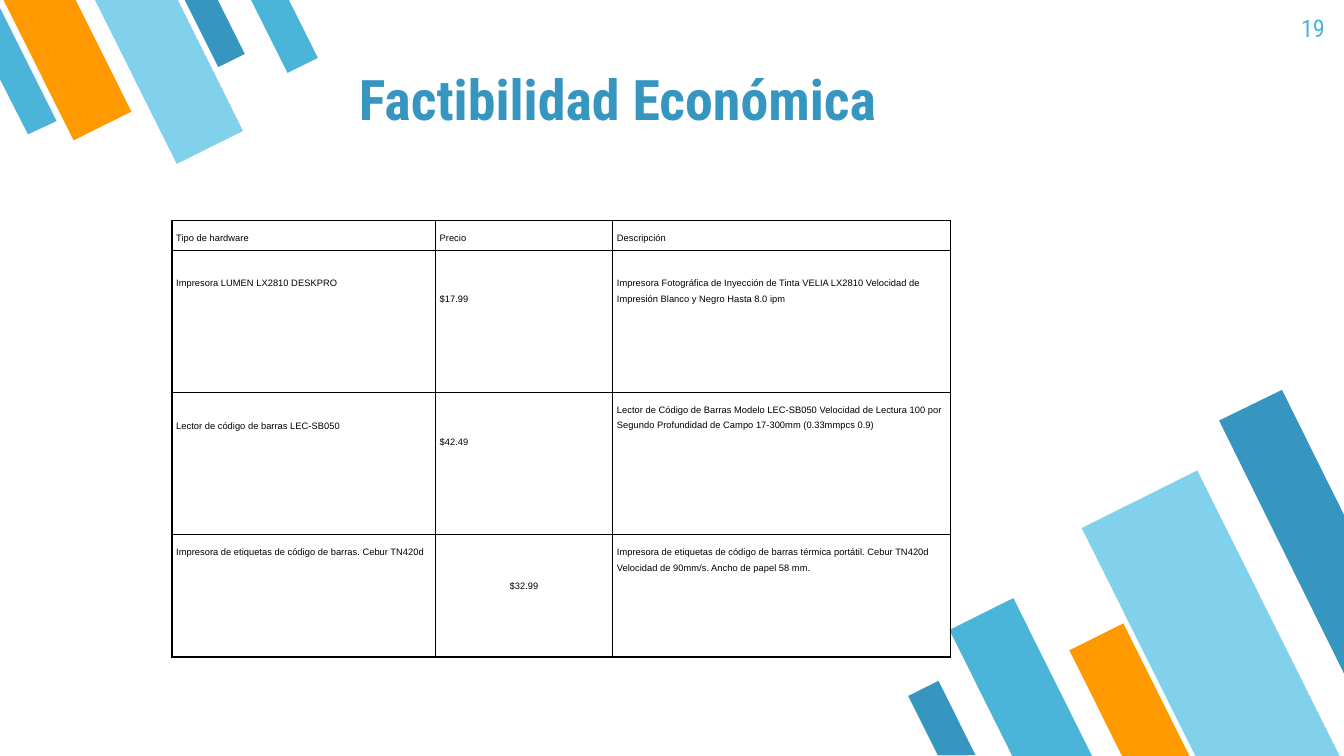
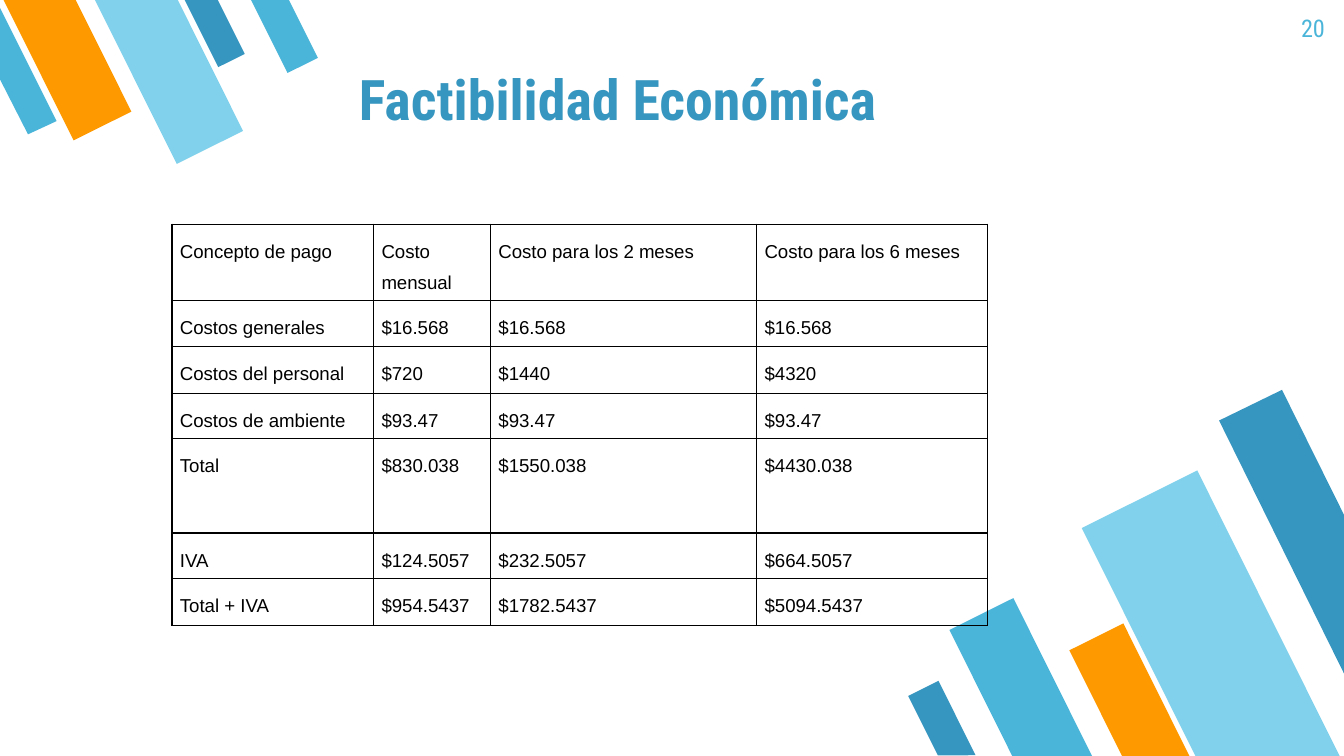
from lxml.etree import SubElement
from pptx import Presentation
from pptx.dml.color import RGBColor
from pptx.enum.shapes import MSO_SHAPE
from pptx.enum.text import MSO_ANCHOR, MSO_AUTO_SIZE, PP_ALIGN
from pptx.oxml.ns import qn
from pptx.util import Cm, Pt

SLIDE_WIDTH, SLIDE_HEIGHT = 25.4, 14.29
SKY, PALE, ORANGE, BLUE, BLACK = "4BB5D9", "81D1EC", "FF9900", "3796BF", "000000"
HEADING_FONT, TABLE_FONT = "Roboto Condensed", "Arial"

# Corner decorations: boxes in cm, bars and edge strips relative to the box
TOP_LEFT = {
    "box": (0, 0),
    "angle": 333.5,
    "bars": [
        (3.78, -0.2, 0.56, 1.42, BLUE),
        (0.66, -0.46, 1.22, 3.0, ORANGE),
        (2.49, -0.51, 1.4, 3.48, PALE),
        (5.05, -0.25, 0.64, 1.57, SKY),
    ],
    "strip": [(0.53, 2.54), (1.07, 2.29), (0, 0.15), (0, 1.5)],
    "strip_color": SKY,
}
BOTTOM_RIGHT = {
    "box": (17.4, 7.37),
    "angle": 153.5,
    "bars": [
        (1.22, 4.06, 1.35, 3.35, SKY),
        (4.27, 1.75, 2.44, 6.07, PALE),
        (3.38, 4.52, 1.14, 2.82, ORANGE),
        (0.08, 5.56, 0.64, 1.57, BLUE),
    ],
    "strip": [(6.83, 0), (5.64, 0.58), (8, 5.36), (8, 2.36)],
    "strip_color": BLUE,
}

# Hardware table
HARDWARE = [
    ["Tipo de hardware", "Precio", "Descripción"],
    ["Impresora LUMEN LX2810 DESKPRO", "$17.99",
     "Impresora Fotográfica de Inyección de Tinta VELIA LX2810 Velocidad de "
     "Impresión Blanco y Negro Hasta 8.0 ipm"],
    ["Lector de código de barras LEC-SB050", "$42.49",
     "Lector de Código de Barras Modelo LEC-SB050 Velocidad de Lectura 100 por "
     "Segundo Profundidad de Campo 17-300mm (0.33mmpcs 0.9)"],
    ["Impresora de etiquetas de código de barras. Cebur TN420d", "$32.99",
     "Impresora de etiquetas de código de barras térmica portátil. Cebur TN420d "
     "Velocidad de 90mm/s. Ancho de papel 58 mm."],
]
# Cells whose text starts lower: (row, column) -> drop in points and paragraph format
HARDWARE_CELLS = {
    (1, 0): {"drop": 8.6},
    (1, 1): {"drop": 17.2},
    (1, 2): {"drop": 8.6},
    (2, 0): {"drop": 8.6, "align": PP_ALIGN.JUSTIFY},
    (2, 1): {"drop": 17.2},
    (3, 1): {"drop": 20.9, "align": PP_ALIGN.CENTER, "spacing": 1.07},
}

# Cost table
COSTS = [
    ["Concepto de pago", "Costo mensual", "Costo para los 2 meses", "Costo para los 6 meses"],
    ["Costos generales", "$16.568", "$16.568", "$16.568"],
    ["Costos del personal", "$720", "$1440", "$4320"],
    ["Costos de ambiente", "$93.47", "$93.47", "$93.47"],
    ["Total", "$830.038", "$1550.038", "$4430.038"],
    ["IVA", "$124.5057", "$232.5057", "$664.5057"],
    ["Total + IVA", "$954.5437", "$1782.5437", "$5094.5437"],
]


def rgb(color):
    return RGBColor.from_string(color)


def add_run(paragraph, text, size, font, color, bold=False):
    run = paragraph.add_run()
    run.text = text
    run.font.size = Pt(size)
    run.font.name = font
    run.font.bold = bold
    run.font.color.rgb = rgb(color)


def paint(shape, color):
    shape.shadow.inherit = False
    shape.fill.solid()
    shape.fill.fore_color.rgb = rgb(color)
    shape.line.fill.background()


def add_corner(slide, corner):
    """Slanted bars plus the strip cut by the slide edge."""
    left, top = corner["box"]
    for x, y, width, height, color in corner["bars"]:
        bar = slide.shapes.add_shape(MSO_SHAPE.FLOWCHART_MANUAL_INPUT, Cm(left + x),
                                     Cm(top + y), Cm(width), Cm(height))
        bar.rotation = corner["angle"]
        bar._element.spPr.xfrm.set("flipH", "1")
        paint(bar, color)
    points = [(Cm(left + x), Cm(top + y)) for x, y in corner["strip"]]
    outline = slide.shapes.build_freeform(*points[0])
    outline.add_line_segments(points[1:], close=True)
    paint(outline.convert_to_shape(), corner["strip_color"])


def set_frame(shape, box, anchor):
    shape.left, shape.top, shape.width, shape.height = map(Cm, box)
    frame = shape.text_frame
    frame.word_wrap = True
    frame.auto_size = MSO_AUTO_SIZE.NONE
    frame.vertical_anchor = anchor
    frame.margin_left = frame.margin_right = Cm(0.25)
    frame.margin_top = frame.margin_bottom = Cm(0.25)
    return frame.paragraphs[0]


def add_title(slide, text, box):
    heading = set_frame(slide.shapes.title, box, MSO_ANCHOR.BOTTOM)
    heading.alignment = PP_ALIGN.LEFT
    add_run(heading, text, 30, HEADING_FONT, BLUE, bold=True)


def add_page_number(slide, number, box):
    label = set_frame(slide.shapes.add_textbox(*map(Cm, box)), box, MSO_ANCHOR.TOP)
    label.alignment = PP_ALIGN.RIGHT
    add_run(label, str(number), 13, HEADING_FONT, SKY)


def set_borders(cell):
    properties = cell._tc.get_or_add_tcPr()
    for side in ("a:lnL", "a:lnR", "a:lnT", "a:lnB"):
        border = SubElement(properties, qn(side), w=str(Pt(0.75)))
        fill = SubElement(border, qn("a:solidFill"))
        SubElement(fill, qn("a:srgbClr"), val=BLACK)


def add_grid(slide, rows, origin, widths, heights, size, side_margin, special=None):
    """Bordered table without fill; special holds the exceptions by cell."""
    special = special or {}
    left, top = origin
    table = slide.shapes.add_table(len(rows), len(widths), Cm(left), Cm(top),
                                   Cm(sum(widths)), Cm(sum(heights))).table
    table.first_row = table.horz_banding = False
    for column, width in zip(table.columns, widths):
        column.width = Cm(width)
    for row, height in zip(table.rows, heights):
        row.height = Cm(height)
    for r, texts in enumerate(rows):
        for c, text in enumerate(texts):
            cell, style = table.cell(r, c), special.get((r, c), {})
            set_borders(cell)
            cell.fill.background()
            cell.margin_left = cell.margin_right = Cm(side_margin)
            cell.margin_top = Cm(0.13) + Pt(style.get("drop", 0))
            cell.margin_bottom = Cm(0.13)
            paragraph = cell.text_frame.paragraphs[0]
            paragraph.alignment = style.get("align", PP_ALIGN.LEFT)
            paragraph.line_spacing = style.get("spacing", 1.5)
            add_run(paragraph, text, size, TABLE_FONT, BLACK)


def add_base_slide(deck, number):
    """Title-only slide with everything the slides share."""
    slide = deck.slides.add_slide(deck.slide_layouts[5])
    add_corner(slide, BOTTOM_RIGHT)
    add_corner(slide, TOP_LEFT)
    add_page_number(slide, number, (23.77, 0, 1.52, 1.09))
    add_title(slide, "Factibilidad Económica", (6.53, 0.86, 12.67, 1.88))
    return slide


def main():
    deck = Presentation()
    deck.slide_width, deck.slide_height = Cm(SLIDE_WIDTH), Cm(SLIDE_HEIGHT)

    hardware_slide = add_base_slide(deck, 19)
    add_grid(hardware_slide, HARDWARE, (3.25, 4.17), [4.98, 3.35, 6.38],
             [0.36, 2.69, 2.69, 2.31], 5, 0.08, HARDWARE_CELLS)

    cost_slide = add_base_slide(deck, 20)
    add_grid(cost_slide, COSTS, (3.25, 4.24), [3.81, 2.21, 5.03, 4.37],
             [1.4, 0.86, 0.89, 0.86, 1.78, 0.86, 0.89], 10, 0.15)

    deck.save("out.pptx")


if __name__ == "__main__":
    main()
